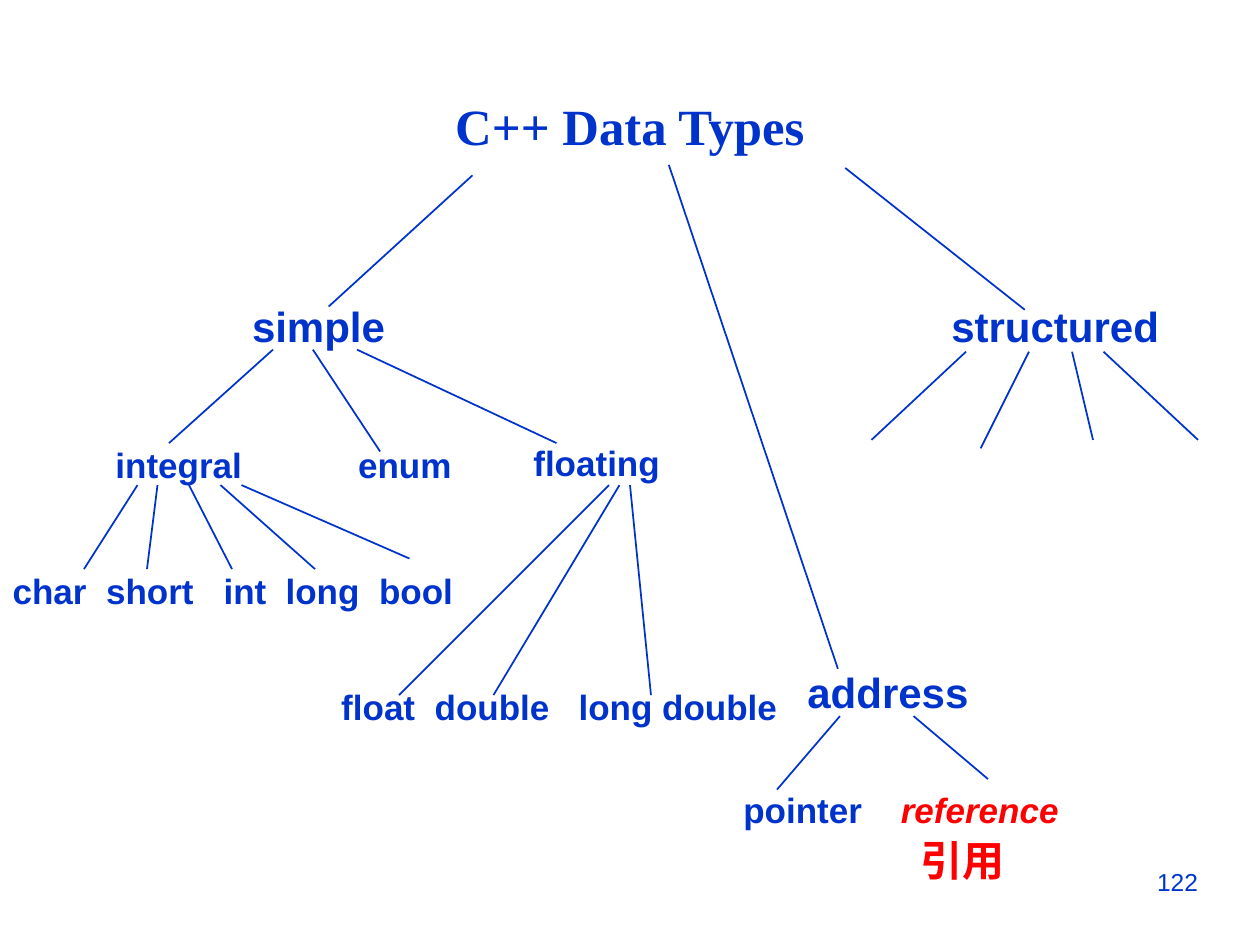
from pptx import Presentation
from pptx.dml.color import RGBColor
from pptx.enum.shapes import MSO_CONNECTOR
from pptx.enum.text import MSO_ANCHOR, PP_ALIGN
from pptx.oxml.ns import qn
from pptx.util import Inches, Pt
from lxml.etree import SubElement

BLUE, RED = "0033CC", "FF0000"
COLS, ROWS = 120, 90

LEVELS = [
    (24, 28.6, 4.9, [(24, 14, "simple"), (90.6, 22, "structured")]),
    (24, 63.5, 4.9, [(76.9, 17, "address")]),
    (20, 42.2, 4.2, [(11, 13.5, "integral"), (34.1, 10.5, "enum")]),
    (20, 42, 4.2, [(50.8, 13.5, "floating")]),
    (20, 54.2, 4.2, [(1.2, 8.5, "char"), (10.1, 10, "short"), (21.3, 5.5, "int"),
                     (27.2, 8.5, "long"), (36.1, 8.5, "bool")]),
    (20, 65.3, 4.2, [(32.5, 8.5, "float"), (41.4, 12.5, "double"), (55.1, 21, "long double")]),
    (20, 75.1, 4.2, [(70.8, 13, "pointer")]),
]

BRANCHES = {
    "C++ Data Types": [(45, 16.7, 31.3, 29.2), (63.7, 15.7, 79.8, 63.7), (80.5, 16, 97.6, 29.5)],
    "simple": [(26, 33.3, 16.1, 42.2), (29.8, 33.3, 36.2, 43), (34, 33.3, 53, 42.2)],
    "structured": [(92, 33.5, 83, 41.9), (98, 33.5, 93.4, 42.7),
                   (102.1, 33.5, 104.1, 41.9), (105.1, 33.5, 114.1, 41.9)],
    "address": [(80, 68.2, 74, 75.2), (87, 68.2, 94.1, 74.2)],
    "integral": [(13.1, 46.2, 8, 54.2), (15, 46.2, 14, 54.2), (18, 46.2, 22.1, 54.2),
                 (21, 46.2, 30, 54.2), (23, 46.2, 39, 53.2)],
    "floating": [(58, 46.2, 38, 66.2), (59, 46.2, 47, 66.2), (60, 46.2, 62, 66.2)],
}

prs = Presentation()
prs.slide_width, prs.slide_height = Inches(10), Inches(7.5)
s = prs.slides.add_slide(prs.slide_layouts[6])


def place(x, y):
    """Turn a grid column and row into slide lengths."""
    return int(prs.slide_width * x / COLS), int(prs.slide_height * y / ROWS)


def rgb(color):
    """Turn a hex string into a colour."""
    return RGBColor.from_string(color)


def add_text(text, x, y, w, h, size=20, color=BLUE, font="Arial", bold=True,
             italic=False, align=PP_ALIGN.LEFT, anchor=MSO_ANCHOR.TOP):
    """Add one line of text in a box without margins."""
    tf = s.shapes.add_textbox(*place(x, y), *place(w, h)).text_frame
    tf.word_wrap = False
    tf.margin_left = tf.margin_right = tf.margin_top = tf.margin_bottom = 0
    tf.vertical_anchor = anchor
    p = tf.paragraphs[0]
    p.alignment = align
    r = p.add_run()
    r.text = text
    f = r.font
    f.size, f.name, f.bold, f.italic = Pt(size), font, bold, italic
    f.color.rgb = rgb(color)


def add_branch(x1, y1, x2, y2):
    """Draw one thin branch of the tree."""
    c = s.shapes.add_connector(MSO_CONNECTOR.STRAIGHT, *place(x1, y1), *place(x2, y2))
    c.line.color.rgb = rgb(BLUE)
    c.line.width = Pt(1)
    SubElement(c._element.spPr, qn("a:effectLst"))


def main():
    """Build the type tree and save it."""
    add_text("C++ Data Types", 4, 8.4, 112, 7.1, size=29, font="Times New Roman",
             align=PP_ALIGN.CENTER, anchor=MSO_ANCHOR.MIDDLE)
    for branches in BRANCHES.values():
        for branch in branches:
            add_branch(*branch)
    for size, top, height, words in LEVELS:
        for left, width, word in words:
            add_text(word, left, top, width, height, size=size)
    add_text("reference", 85.8, 75.1, 17, 4.2, color=RED, italic=True)
    add_text("引用", 84.6, 79.9, 14.2, 3.9, size=24, color=RED,
             align=PP_ALIGN.CENTER, anchor=MSO_ANCHOR.MIDDLE)
    add_text("122", 110.2, 82.6, 5.5, 2.9, size=14, bold=False)
    prs.save("out.pptx")


if __name__ == "__main__":
    main()
